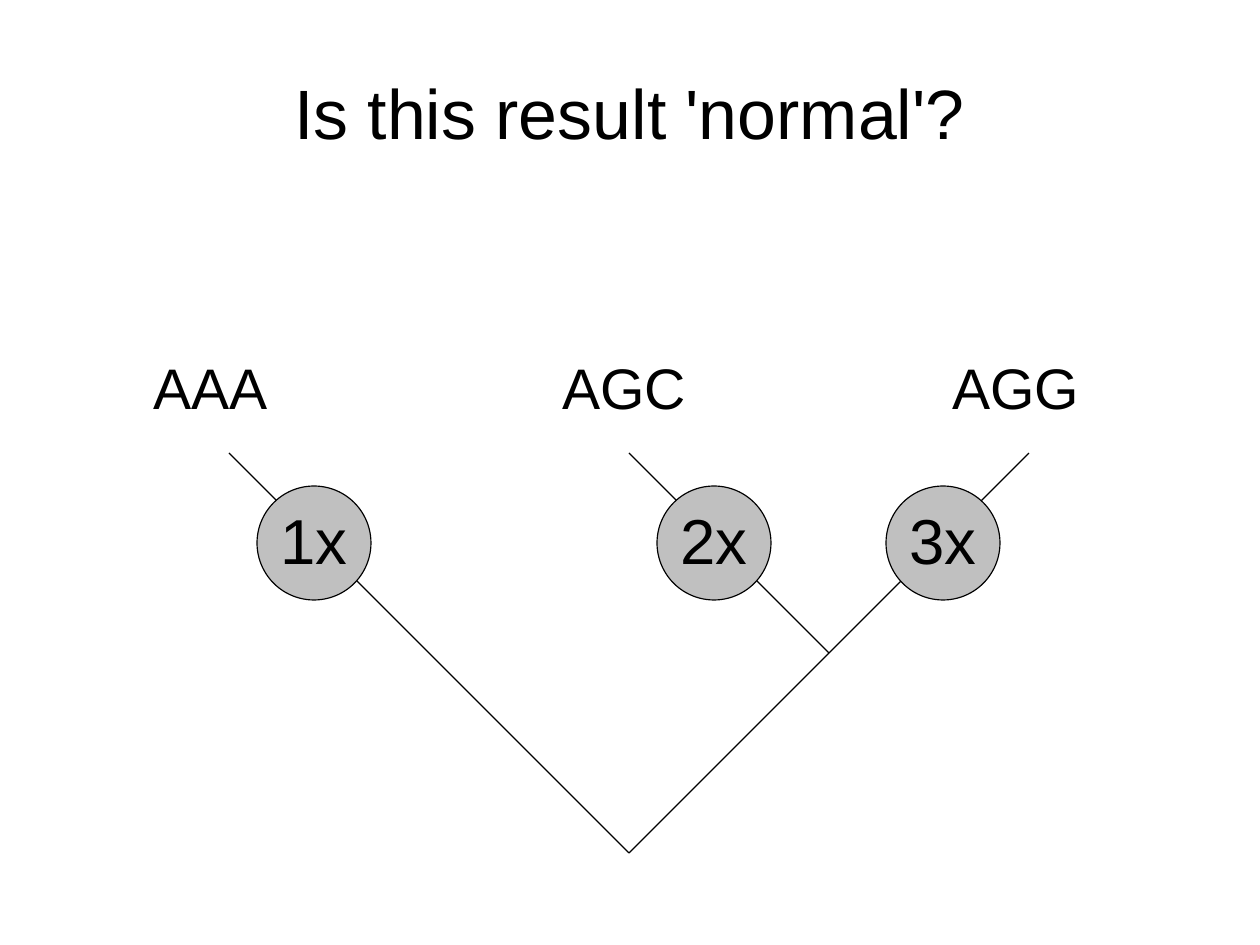
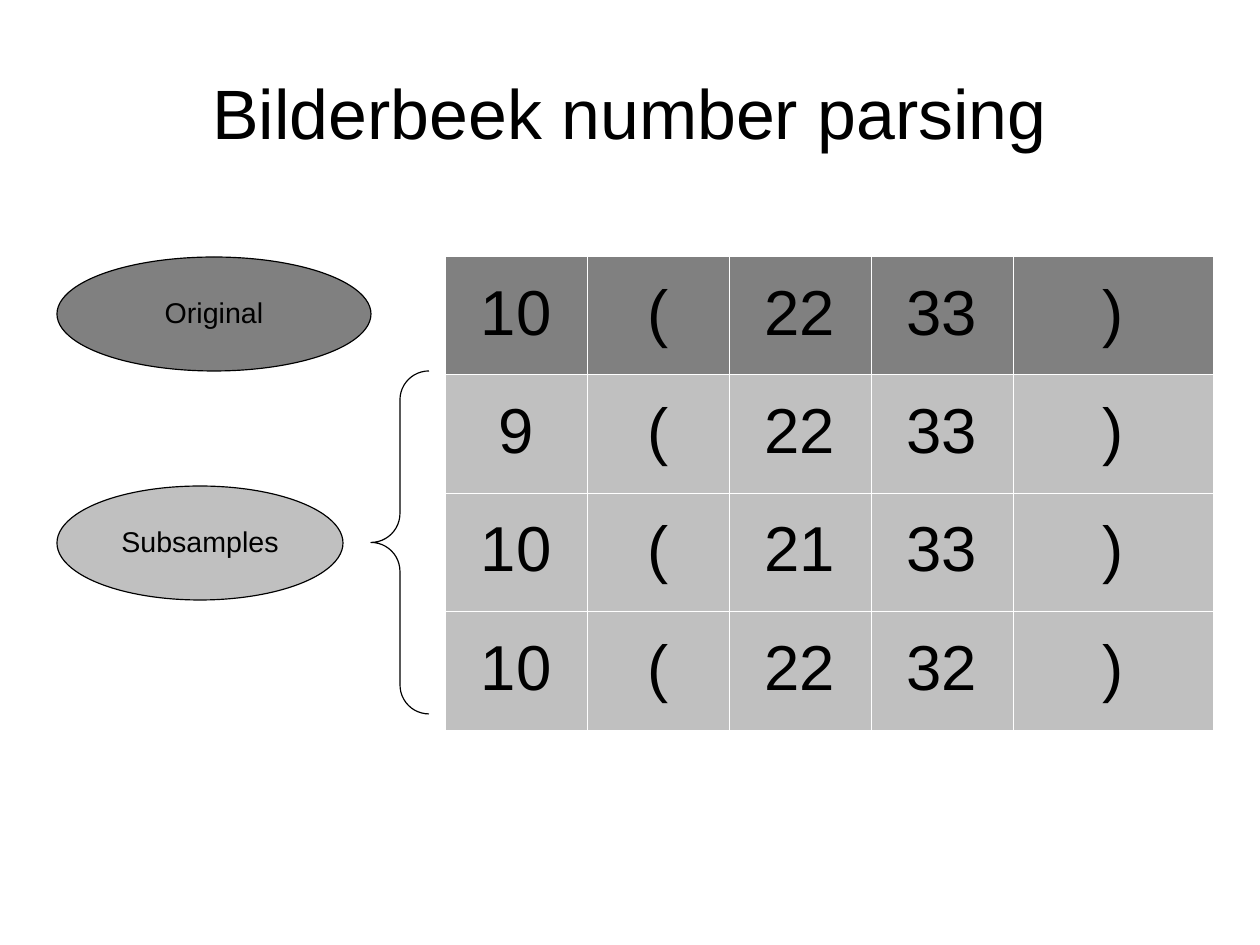
from lxml import etree
from pptx import Presentation
from pptx.dml.color import RGBColor
from pptx.enum.shapes import MSO_CONNECTOR, MSO_SHAPE
from pptx.enum.text import MSO_ANCHOR, PP_ALIGN
from pptx.oxml.ns import qn
from pptx.util import Pt

CENTER = PP_ALIGN.CENTER
TOP, MIDDLE = MSO_ANCHOR.TOP, MSO_ANCHOR.MIDDLE
ELLIPSE, BRACE = MSO_SHAPE.OVAL, MSO_SHAPE.LEFT_BRACE
STRAIGHT = MSO_CONNECTOR.STRAIGHT

# Shared style
PX = 8000  # EMU in one px
SLIDE_SIZE = (1260, 945)
COLORS = {"ink": "000000", "dark": "808080", "light": "C0C0C0", "border": "FFFFFF"}
FONT = "Arial"
LINE_SPACING = 0.93
LINE_WIDTH = 0.75
BORDER_WIDTH = 0.06
TITLE_BOX = (63, 43, 1134, 146)
TITLE_SIZE = 44

# Slide 1: tree
TREE_TITLE = "Is this result 'normal'?"
BRANCHES = [((229, 453), (629, 853)), ((629, 853), (1029, 453)), ((829, 653), (629, 453))]
TIPS = [("AAA", 211), ("AGC", 624), ("AGG", 1016)]  # text, centre x
TIP_TOP, TIP_WIDTH, TIP_HEIGHT = 353, 180, 76
COUNTS = [("1x", 314), ("2x", 714), ("3x", 943)]  # text, centre x
COUNT_TOP, COUNT_DIAMETER = 486, 114

# Slide 2: table of numbers
PARSING_TITLE = "Bilderbeek number parsing"
ROWS = [
    ["10", "(", "22", "33", ")"],
    ["9", "(", "22", "33", ")"],
    ["10", "(", "21", "33", ")"],
    ["10", "(", "22", "32", ")"],
]
TABLE_LEFT, TABLE_TOP, TABLE_HEIGHT = 445, 256, 474
COLUMN_WIDTHS = [142, 142, 142, 142, 200]
ROW_LABELS = [
    ("Original", (57, 257, 314, 114), "dark"),
    ("Subsamples", (57, 486, 286, 114), "light"),
]
BRACE_BOX = (371, 371, 58, 343)


def emu(lengths):
    return [round(length * PX) for length in lengths]


def color(name):
    return RGBColor.from_string(COLORS[name])


def write_text(frame, text, size, anchor=MIDDLE, wrap=False, margin=None):
    frame.word_wrap = wrap
    frame.vertical_anchor = anchor
    if margin is not None:
        frame.margin_left = frame.margin_right = margin
        frame.margin_top = frame.margin_bottom = margin
    paragraph = frame.paragraphs[0]
    paragraph.text = text
    paragraph.alignment = CENTER
    paragraph.line_spacing = LINE_SPACING
    paragraph.font.name = FONT
    paragraph.font.size = Pt(size)
    paragraph.font.color.rgb = color("ink")


def add_text(slide, box, text, size, **text_format):
    write_text(slide.shapes.add_textbox(*emu(box)).text_frame, text, size, **text_format)


def outline(line):
    line.color.rgb = color("ink")
    line.width = Pt(LINE_WIDTH)


def add_ellipse(slide, box, text, size, fill):
    shape = slide.shapes.add_shape(ELLIPSE, *emu(box))
    shape.shadow.inherit = False
    shape.fill.solid()
    shape.fill.fore_color.rgb = color(fill)
    outline(shape.line)
    write_text(shape.text_frame, text, size)


def add_branch(slide, start, end):
    connector = slide.shapes.add_connector(STRAIGHT, *emu(start + end))
    outline(connector.line)
    etree.SubElement(connector._element.spPr, qn("a:effectLst"))


def add_borders(cell):
    properties = cell._tc.get_or_add_tcPr()
    for index, side in enumerate(("lnL", "lnR", "lnT", "lnB")):
        border = etree.Element(qn("a:" + side), w=str(Pt(BORDER_WIDTH)))
        fill = etree.SubElement(border, qn("a:solidFill"))
        etree.SubElement(fill, qn("a:srgbClr"), val=COLORS["border"])
        properties.insert(index, border)


def add_number_table(slide):
    box = (TABLE_LEFT, TABLE_TOP, sum(COLUMN_WIDTHS), TABLE_HEIGHT)
    table = slide.shapes.add_table(len(ROWS), len(COLUMN_WIDTHS), *emu(box)).table
    table.first_row = table.horz_banding = False
    for column, width in zip(table.columns, emu(COLUMN_WIDTHS)):
        column.width = width
    for row_index, row in enumerate(ROWS):
        for column_index, text in enumerate(row):
            cell = table.cell(row_index, column_index)
            cell.fill.solid()
            cell.fill.fore_color.rgb = color("light" if row_index else "dark")
            cell.vertical_anchor = MIDDLE
            write_text(cell.text_frame, text, 40, wrap=True)
            add_borders(cell)


def add_slide(presentation, title):
    slide = presentation.slides.add_slide(presentation.slide_layouts[6])
    add_text(slide, TITLE_BOX, title, TITLE_SIZE, wrap=True, margin=0)
    return slide


def build_tree(presentation):
    slide = add_slide(presentation, TREE_TITLE)
    for start, end in BRANCHES:
        add_branch(slide, start, end)
    for text, center in TIPS:
        box = (center - TIP_WIDTH / 2, TIP_TOP, TIP_WIDTH, TIP_HEIGHT)
        add_text(slide, box, text, 36, anchor=TOP, wrap=True)
    for text, center in COUNTS:
        box = (center - COUNT_DIAMETER / 2, COUNT_TOP, COUNT_DIAMETER, COUNT_DIAMETER)
        add_ellipse(slide, box, text, 40, "light")


def build_parsing(presentation):
    slide = add_slide(presentation, PARSING_TITLE)
    add_number_table(slide)
    for text, box, fill in ROW_LABELS:
        add_ellipse(slide, box, text, 18, fill)
    # Brace around the subsample rows
    brace = slide.shapes.add_shape(BRACE, *emu(BRACE_BOX))
    brace.shadow.inherit = False
    brace.fill.background()
    outline(brace.line)
    brace.adjustments[0] = brace.adjustments[1] = 0.5


def main():
    presentation = Presentation()
    presentation.slide_width, presentation.slide_height = emu(SLIDE_SIZE)
    build_tree(presentation)
    build_parsing(presentation)
    presentation.save("out.pptx")


if __name__ == "__main__":
    main()
